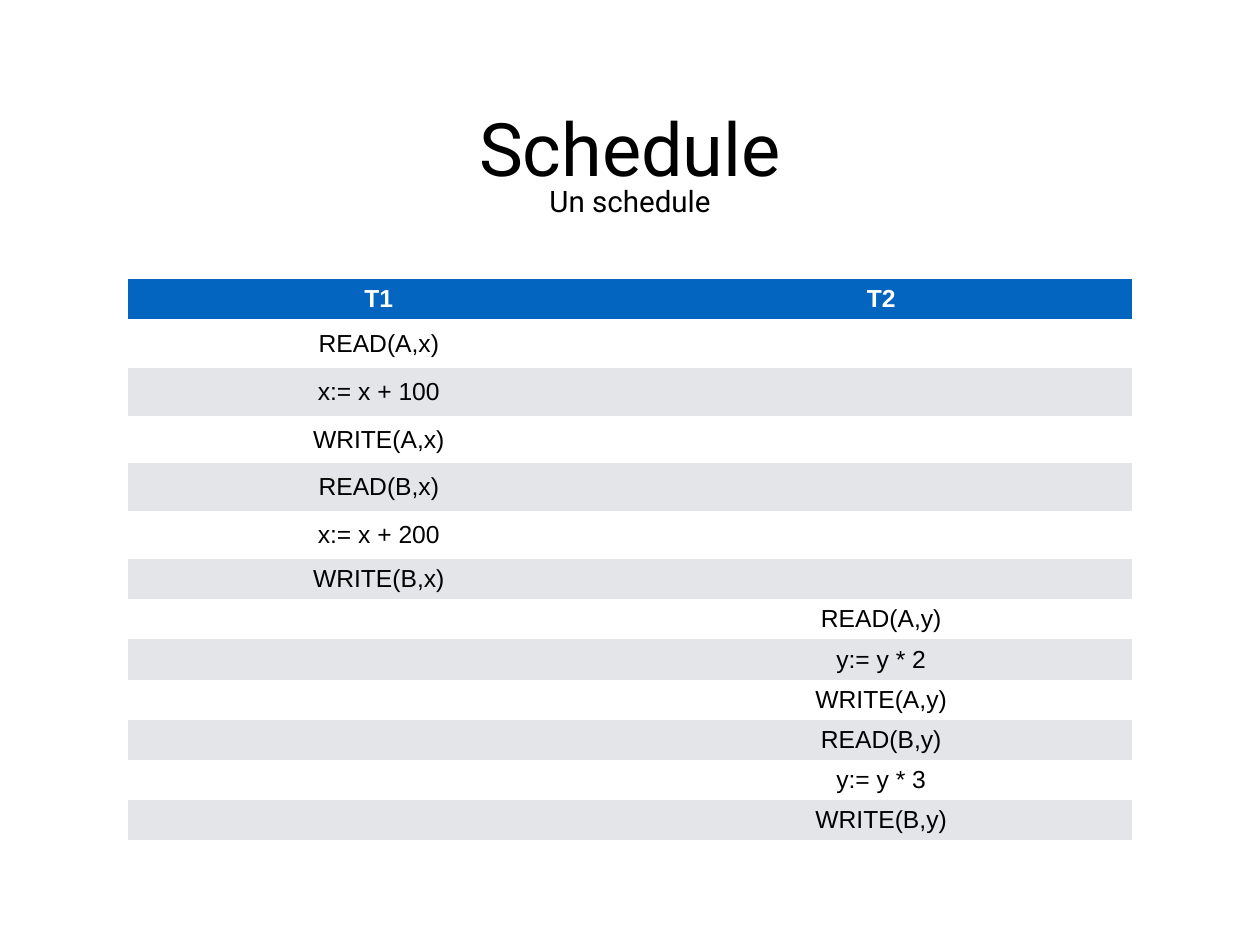
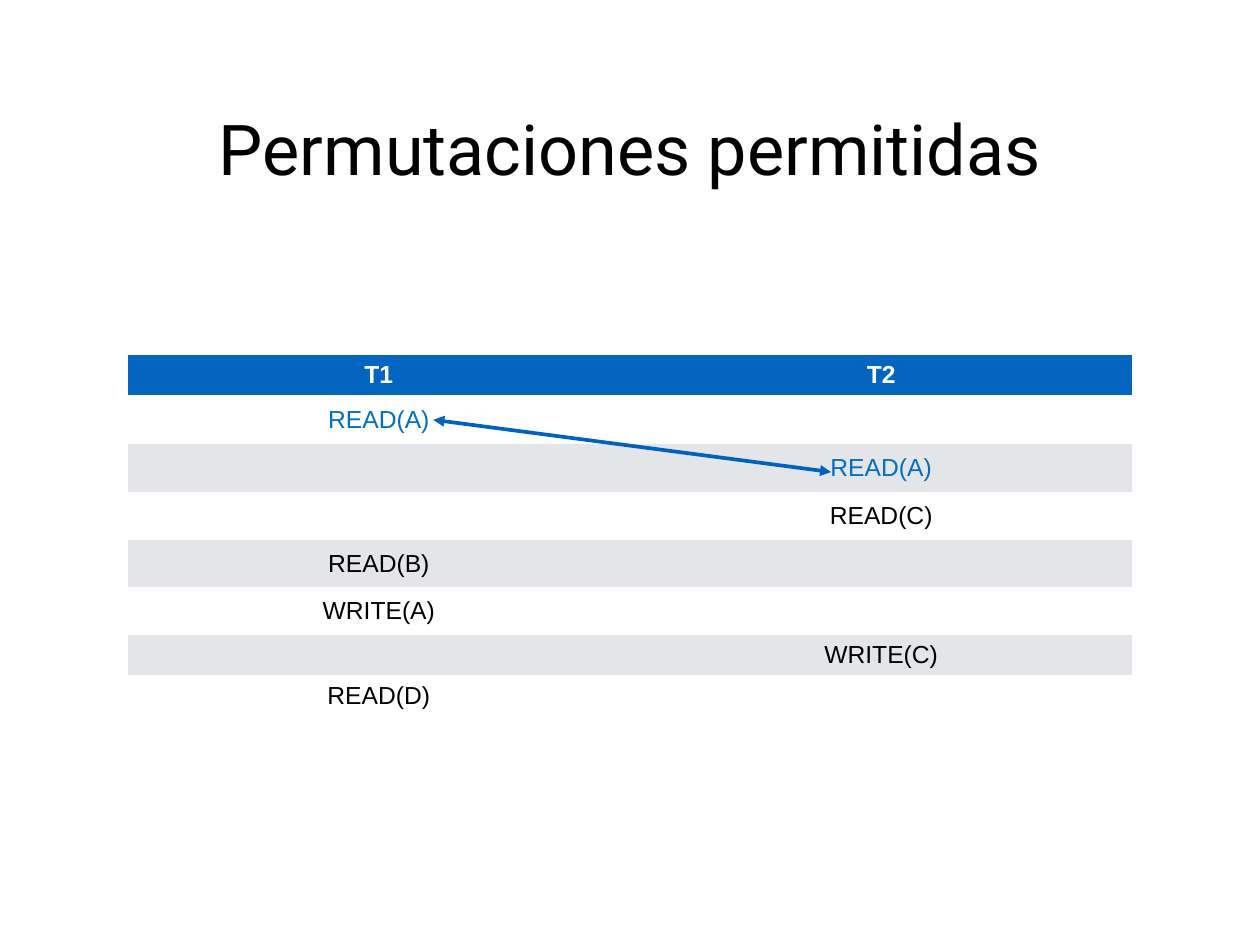
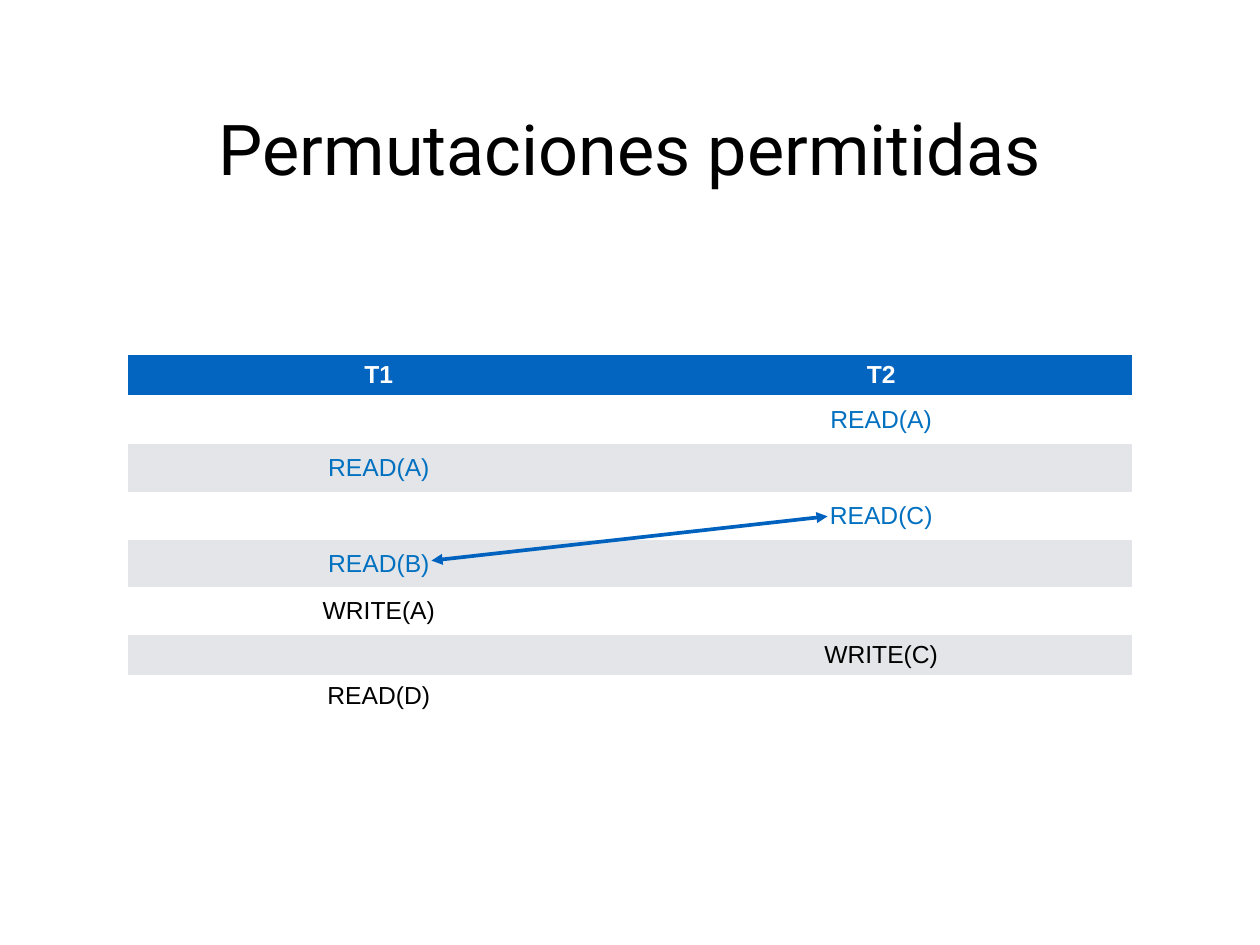
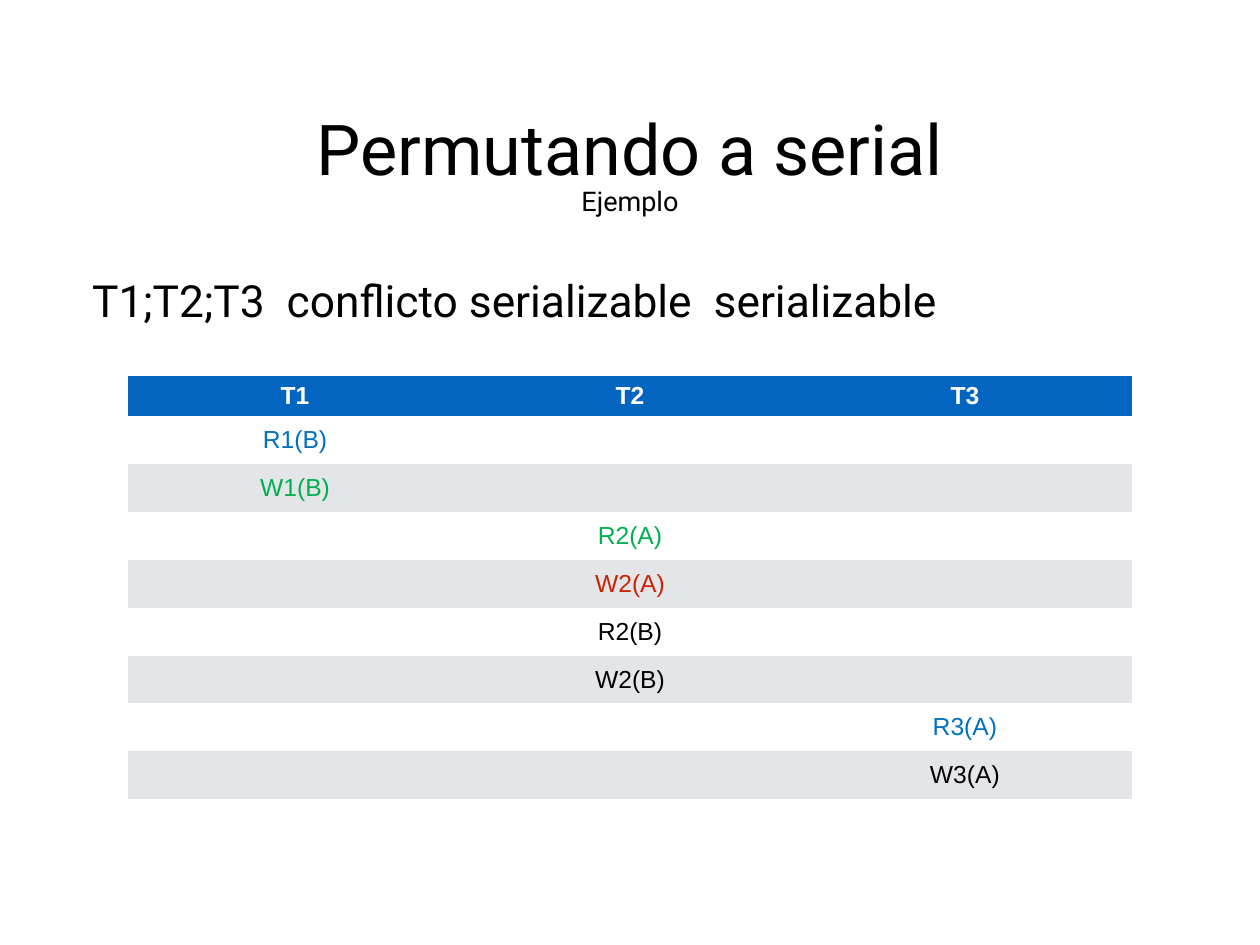
from lxml import etree
from pptx import Presentation
from pptx import util as u
from pptx.dml.color import RGBColor
from pptx.enum import shapes, text
from pptx.oxml import ns

# Shared style
WIDTH, HEIGHT = 14.22, 10.67
INSET = u.Inches(0.06)
TITLE_CENTER, SUBTITLE_CENTER = 1.66, 2.27
TITLE_FONT, TABLE_FONT = "Roboto", "Arial"
BLACK = RGBColor(0x00, 0x00, 0x00)
WHITE = RGBColor(0xFF, 0xFF, 0xFF)
HEADER_BLUE = RGBColor(0x03, 0x65, 0xC0)
BAND_GRAY = RGBColor(0xE3, 0xE5, 0xE8)
ARROW_BLUE = RGBColor(0x00, 0x62, 0xBF)
BLUE = RGBColor(0x00, 0x70, 0xC0)
GREEN = RGBColor(0x00, 0xB0, 0x50)
RED = RGBColor(0xC8, 0x25, 0x06)

# Table geometry
TABLE_LEFT, TABLE_WIDTH = 1.44, 11.34
HEADER_ROW, FIRST_ROW, TALL_ROW, SHORT_ROW = 0.45, 0.55, 0.54, 0.44
NO_GRID_STYLE = "{2D5ABB26-0587-4C30-8999-92F81FD0307C}"


def set_insets(target):
    """Give a text frame or a table cell the shared insets and anchor."""
    target.margin_left = target.margin_right = INSET
    target.margin_top = target.margin_bottom = INSET
    target.vertical_anchor = text.MSO_ANCHOR.MIDDLE


def style_paragraph(paragraph, font, size, color, bold=False,
                    align=text.PP_ALIGN.CENTER):
    paragraph.alignment = align
    paragraph.font.name = font
    paragraph.font.size = u.Pt(size)
    paragraph.font.bold = bold
    paragraph.font.color.rgb = color


def add_text(slide, words, size, center, width, height,
             align=text.PP_ALIGN.CENTER):
    """Place one line of text, centred across the slide, at a given height."""
    box = slide.shapes.add_textbox(
        u.Inches((WIDTH - width) / 2), u.Inches(center - height / 2),
        u.Inches(width), u.Inches(height))
    frame = box.text_frame
    frame.word_wrap = True
    set_insets(frame)
    frame.text = words
    style_paragraph(frame.paragraphs[0], TITLE_FONT, size, BLACK, align=align)


def fill_cell(cell, words, fill, color, bold=False):
    set_insets(cell)
    cell.fill.solid()
    cell.fill.fore_color.rgb = fill
    cell.text = words
    style_paragraph(cell.text_frame.paragraphs[0], TABLE_FONT, 20, color, bold)


def add_schedule(slide, top, columns, steps, tall_rows):
    """Add a table with one row per step: (transaction, action[, colour])."""
    heights = [HEADER_ROW, FIRST_ROW] + [
        TALL_ROW if index < tall_rows else SHORT_ROW
        for index in range(1, len(steps))]
    frame = slide.shapes.add_table(
        len(heights), columns, u.Inches(TABLE_LEFT), u.Inches(top),
        u.Inches(TABLE_WIDTH), u.Inches(sum(heights)))
    frame.element.find(".//" + ns.qn("a:tableStyleId")).text = NO_GRID_STYLE
    table = frame.table
    for row, height in zip(table.rows, heights):
        row.height = u.Inches(height)
    for column in range(columns):
        fill_cell(table.cell(0, column), f"T{column + 1}", HEADER_BLUE,
                  WHITE, bold=True)
    for row, (transaction, action, *color) in enumerate(steps, 1):
        band = WHITE if row % 2 else BAND_GRAY
        for column in range(columns):
            words = action if column + 1 == transaction else ""
            fill_cell(table.cell(row, column), words, band,
                      color[0] if color else BLACK)


def add_swap_arrow(slide, start, end):
    """Add a double-headed arrow between two actions."""
    arrow = slide.shapes.add_connector(
        shapes.MSO_CONNECTOR.STRAIGHT,
        *(u.Inches(value) for value in start + end))
    arrow.line.color.rgb = ARROW_BLUE
    arrow.line.width = u.Pt(3)
    properties = arrow.element.spPr
    line = properties.find(ns.qn("a:ln"))
    for tip in ("a:headEnd", "a:tailEnd"):
        etree.SubElement(line, ns.qn(tip), type="triangle")
    etree.SubElement(properties, ns.qn("a:effectLst"))


def add_swap_slide(slide, steps, start, end):
    """Build a slide that shows one allowed swap."""
    add_text(slide, "Permutaciones permitidas", 57, TITLE_CENTER, 9.48, 1.03)
    remaining = [(1, "WRITE(A)"), (2, "WRITE(C)"), (1, "READ(D)")]
    add_schedule(slide, 4.01, 2, steps + remaining, tall_rows=5)
    add_swap_arrow(slide, start, end)


def main():
    presentation = Presentation()
    presentation.slide_width = u.Inches(WIDTH)
    presentation.slide_height = u.Inches(HEIGHT)
    blank = presentation.slide_layouts[6]
    schedule, first_swap, second_swap, serial = (
        presentation.slides.add_slide(blank) for _ in range(4))

    # Serial schedule of two transactions
    add_text(schedule, "Schedule", 60, TITLE_CENTER, 3.65, 1.09)
    add_text(schedule, "Un schedule", 24, SUBTITLE_CENTER, 2.01, 0.5)
    first = ["READ(A,x)", "x:= x + 100", "WRITE(A,x)",
             "READ(B,x)", "x:= x + 200", "WRITE(B,x)"]
    second = ["READ(A,y)", "y:= y * 2", "WRITE(A,y)",
              "READ(B,y)", "y:= y * 3", "WRITE(B,y)"]
    steps = [(1, action) for action in first]
    steps += [(2, action) for action in second]
    add_schedule(schedule, 3.15, 2, steps, tall_rows=5)

    # Allowed swaps
    add_swap_slide(
        first_swap,
        [(1, "READ(A)", BLUE), (2, "READ(A)", BLUE),
         (2, "READ(C)"), (1, "READ(B)")],
        (4.89, 4.74), (9.38, 5.33))
    add_swap_slide(
        second_swap,
        [(2, "READ(A)", BLUE), (1, "READ(A)", BLUE),
         (2, "READ(C)", BLUE), (1, "READ(B)", BLUE)],
        (4.87, 6.33), (9.34, 5.83))

    # Result of swapping to a serial schedule
    add_text(serial, "Permutando a serial", 57, TITLE_CENTER, 7.31, 1.03)
    add_text(serial, "Ejemplo", 22, SUBTITLE_CENTER, 1.26, 0.48)
    add_text(serial, "T1;T2;T3  conflicto serializable  serializable",
             36, 3.39, 12.26, 0.81, align=text.PP_ALIGN.LEFT)
    add_schedule(
        serial, 4.24, 3,
        [(1, "R1(B)", BLUE), (1, "W1(B)", GREEN),
         (2, "R2(A)", GREEN), (2, "W2(A)", RED),
         (2, "R2(B)"), (2, "W2(B)"),
         (3, "R3(A)", BLUE), (3, "W3(A)")],
        tall_rows=8)

    presentation.save("out.pptx")


if __name__ == "__main__":
    main()
